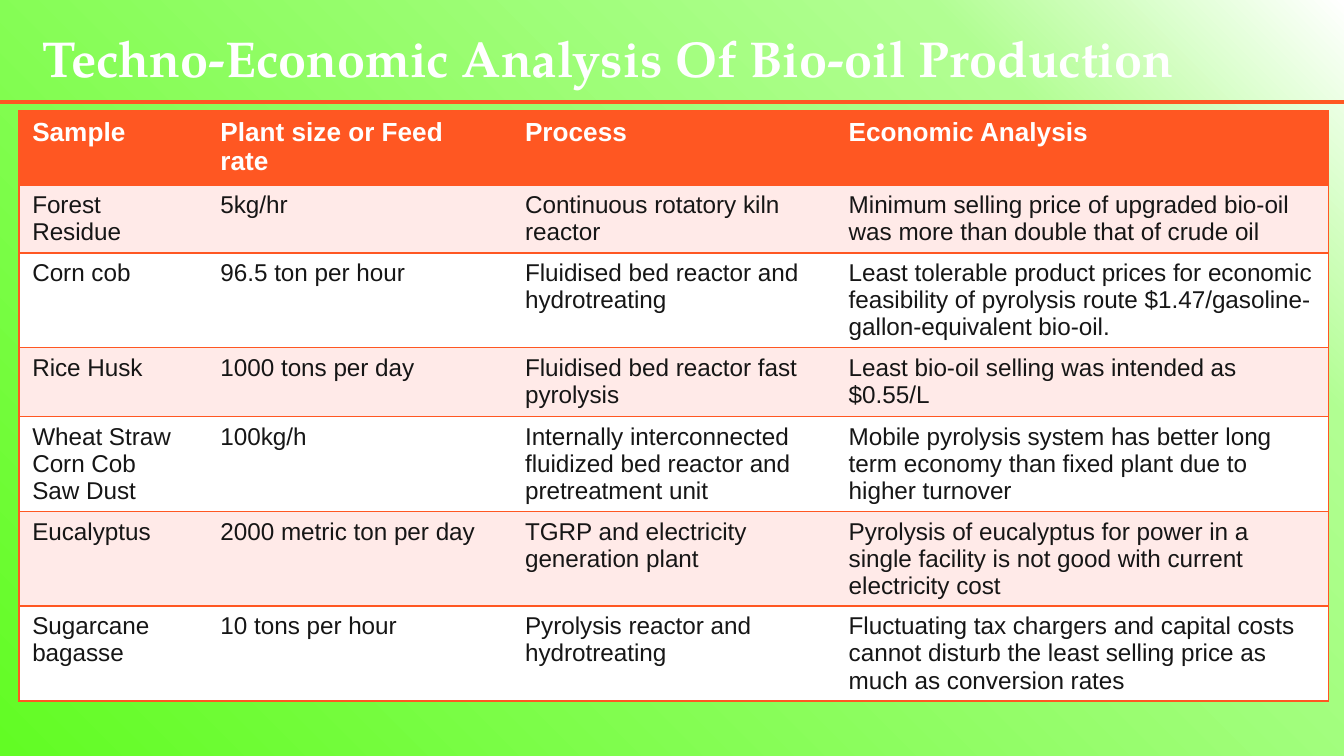
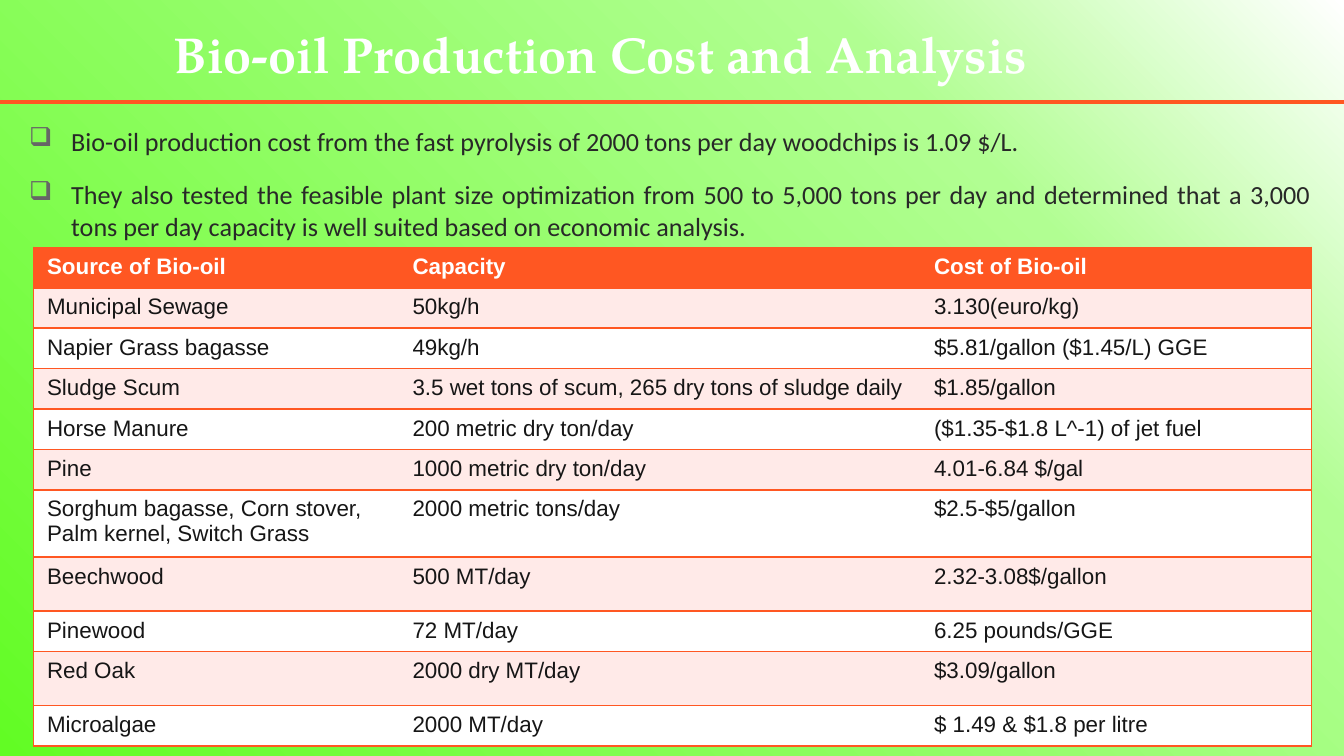
from copy import deepcopy

from lxml.etree import SubElement
from pptx import Presentation
from pptx.dml.color import RGBColor
from pptx.enum.shapes import MSO_CONNECTOR
from pptx.enum.text import MSO_ANCHOR, MSO_AUTO_SIZE, PP_ALIGN
from pptx.oxml.ns import qn
from pptx.util import Pt

GREEN = RGBColor(0x62, 0xFC, 0x24)
LIGHT_GREEN = RGBColor(0xB1, 0xFE, 0x92)
WHITE = RGBColor(0xFF, 0xFF, 0xFF)
ORANGE = RGBColor(0xFF, 0x57, 0x22)
PINK = RGBColor(0xFF, 0xEA, 0xE8)
CELL_TEXT = RGBColor(0x16, 0x16, 0x16)
BODY_TEXT = RGBColor(0x28, 0x28, 0x28)
BULLET_GREY = RGBColor(0x66, 0x66, 0x66)

TITLE_FONT = "TeX Gyre Pagella"
TABLE_FONT = "Arial"
BODY_FONT = "Calibri"
SLIDE_WIDTH = 720
INSET = 7.2

presentation = Presentation()
presentation.slide_width = Pt(SLIDE_WIDTH)
presentation.slide_height = Pt(405)


def add_titled_slide(title, box, indent, middle_stop):
    """Add a slide with the shared gradient, title style and orange rule."""
    slide = presentation.slides.add_slide(presentation.slide_layouts[5])

    # Gradient background
    fill = slide.background.fill
    fill.gradient()
    fill.gradient_angle = 45
    stop_list = slide.element.find(".//" + qn("a:gsLst"))
    stop_list.append(deepcopy(stop_list[-1]))
    colours = [(0, GREEN), (middle_stop, LIGHT_GREEN), (1, WHITE)]
    for stop, (position, colour) in zip(fill.gradient_stops, colours):
        stop.position = position
        stop.color.rgb = colour

    # Title
    shape = slide.shapes.title
    shape.left, shape.top, shape.width, shape.height = map(Pt, box)
    frame = shape.text_frame
    frame.text = title
    frame.word_wrap = True
    frame.auto_size = MSO_AUTO_SIZE.NONE
    frame.vertical_anchor = MSO_ANCHOR.TOP
    frame.margin_left = Pt(indent)
    frame.margin_right = frame.margin_top = frame.margin_bottom = Pt(INSET)
    paragraph = frame.paragraphs[0]
    paragraph.alignment = PP_ALIGN.LEFT
    paragraph.font.name = TITLE_FONT
    paragraph.font.size = Pt(27)
    paragraph.font.bold = True
    paragraph.font.color.rgb = WHITE

    # Rule under the title
    rule = slide.shapes.add_connector(
        MSO_CONNECTOR.STRAIGHT, 0, Pt(54.7), Pt(SLIDE_WIDTH), Pt(54.7))
    rule.line.color.rgb = ORANGE
    rule.line.width = Pt(2.25)
    SubElement(rule._element.spPr, qn("a:effectLst"))
    return slide


def add_banded_table(slide, left, top, widths, heights, rows, header_size, size):
    """Add a table with an orange header, pink bands and orange row lines."""
    table = slide.shapes.add_table(
        len(rows), len(widths), Pt(left), Pt(top),
        Pt(sum(widths)), Pt(sum(heights))).table
    table.horz_banding = False
    for column, width in zip(table.columns, widths):
        column.width = Pt(width)
    for row_index, (height, texts) in enumerate(zip(heights, rows)):
        table.rows[row_index].height = Pt(height)
        is_header = row_index == 0
        for column_index, text in enumerate(texts):
            cell = table.cell(row_index, column_index)
            cell.text = text
            for paragraph in cell.text_frame.paragraphs:
                paragraph.font.name = TABLE_FONT
                paragraph.font.size = Pt(header_size if is_header else size)
                paragraph.font.bold = is_header
                paragraph.font.color.rgb = WHITE if is_header else CELL_TEXT

            # Lines on every row, and at the outer sides only
            drawn = {"a:lnL": column_index == 0,
                     "a:lnR": column_index == len(widths) - 1,
                     "a:lnT": True, "a:lnB": True}
            properties = cell._tc.get_or_add_tcPr()
            for tag, visible in drawn.items():
                line = SubElement(properties, qn(tag), w=str(Pt(1)))
                if visible:
                    solid = SubElement(line, qn("a:solidFill"))
                    SubElement(solid, qn("a:srgbClr"), val=str(ORANGE))
                else:
                    SubElement(line, qn("a:noFill"))

            cell.fill.solid()
            band = PINK if row_index % 2 else WHITE
            cell.fill.fore_color.rgb = ORANGE if is_header else band


# Slide 1: techno-economic analysis
slide = add_titled_slide("Techno-Economic Analysis Of Bio-oil Production",
                         (8.6, 7.2, 662.4, 43.2), 14, 0.8)
analysis_rows = [
    ("Sample", "Plant size or Feed rate", "Process", "Economic Analysis"),
    ("Forest Residue", "5kg/hr", "Continuous rotatory kiln reactor",
     "Minimum selling price of upgraded bio-oil was more than double "
     "that of crude oil"),
    ("Corn cob", "96.5 ton per hour", "Fluidised bed reactor and hydrotreating",
     "Least tolerable product prices for economic feasibility of pyrolysis "
     "route $1.47/gasoline-gallon-equivalent bio-oil."),
    ("Rice Husk", "1000 tons per day", "Fluidised bed reactor fast pyrolysis",
     "Least bio-oil selling was intended as $0.55/L"),
    ("Wheat Straw\nCorn Cob\nSaw Dust", "100kg/h",
     "Internally interconnected fluidized bed reactor and pretreatment unit",
     "Mobile pyrolysis system has better long term economy than fixed plant "
     "due to higher turnover"),
    ("Eucalyptus", "2000 metric ton per day",
     "TGRP and electricity generation plant",
     "Pyrolysis of eucalyptus for power in a single facility is not good "
     "with current electricity cost"),
    ("Sugarcane bagasse", "10 tons per hour",
     "Pyrolysis reactor and hydrotreating",
     "Fluctuating tax chargers and capital costs cannot disturb the least "
     "selling price as much as conversion rates"),
]
add_banded_table(slide, 10.1, 59.4, [100.8, 163.2, 173.4, 264.2],
                 [39.6, 36.4, 50.8, 37, 50.8, 50.6, 50.8],
                 analysis_rows, 14, 13)

# Slide 2: production cost
slide = add_titled_slide("Bio-oil Production Cost and Analysis",
                         (31.7, 5, 671, 45.4), 61.2, 0.75)

# Bulleted findings
findings = [
    "Bio-oil production cost from the fast pyrolysis of 2000 tons per day "
    "woodchips is 1.09 $/L.",
    "They also tested the feasible plant size optimization from 500 to 5,000 "
    "tons per day and determined that a 3,000 tons per day capacity is well "
    "suited based on economic analysis.",
]
frame = slide.shapes.add_textbox(
    Pt(8.6), Pt(59.8), Pt(701.3), Pt(269.3)).text_frame
frame.word_wrap = True
frame.margin_left = frame.margin_right = Pt(INSET)
frame.margin_top = frame.margin_bottom = Pt(INSET)
frame.text = "\n".join(findings)
for paragraph in frame.paragraphs:
    paragraph.alignment = PP_ALIGN.JUSTIFY
    paragraph.space_after = Pt(12)
    paragraph.font.name = BODY_FONT
    paragraph.font.size = Pt(14)
    paragraph.font.color.rgb = BODY_TEXT
    properties = paragraph._p.get_or_add_pPr()
    properties.set("marL", str(Pt(22.5)))
    properties.set("indent", str(-Pt(22.5)))
    bullet_colour = SubElement(properties, qn("a:buClr"))
    SubElement(bullet_colour, qn("a:srgbClr"), val=str(BULLET_GREY))
    SubElement(properties, qn("a:buChar"), char="❑")
    # Default run properties follow the bullet in the schema order
    properties.append(properties.find(qn("a:defRPr")))

# Cost table
cost_rows = [
    ("Source of Bio-oil", "Capacity", "Cost of Bio-oil"),
    ("Municipal Sewage", "50kg/h", "3.130(euro/kg)"),
    ("Napier Grass bagasse", "49kg/h", "$5.81/gallon ($1.45/L) GGE"),
    ("Sludge Scum", "3.5 wet tons of scum, 265 dry tons of sludge daily",
     "$1.85/gallon"),
    ("Horse Manure", "200 metric dry ton/day", "($1.35-$1.8 L^-1) of jet fuel"),
    ("Pine", "1000 metric dry ton/day", "4.01-6.84 $/gal"),
    ("Sorghum bagasse, Corn stover, Palm kernel, Switch Grass",
     "2000 metric tons/day", "$2.5-$5/gallon"),
    ("Beechwood", "500 MT/day", "2.32-3.08$/gallon"),
    ("Pinewood", "72 MT/day", "6.25 pounds/GGE"),
    ("Red Oak", "2000 dry MT/day", "$3.09/gallon"),
    ("Microalgae", "2000 MT/day", "$ 1.49 & $1.8 per litre"),
]
add_banded_table(slide, 18, 132.6, [195.8, 279.4, 209.5],
                 [21.6] * 4 + [20.8] * 2 + [34.4] + [29, 20.8] * 2,
                 cost_rows, 12, 12)

presentation.save("out.pptx")
